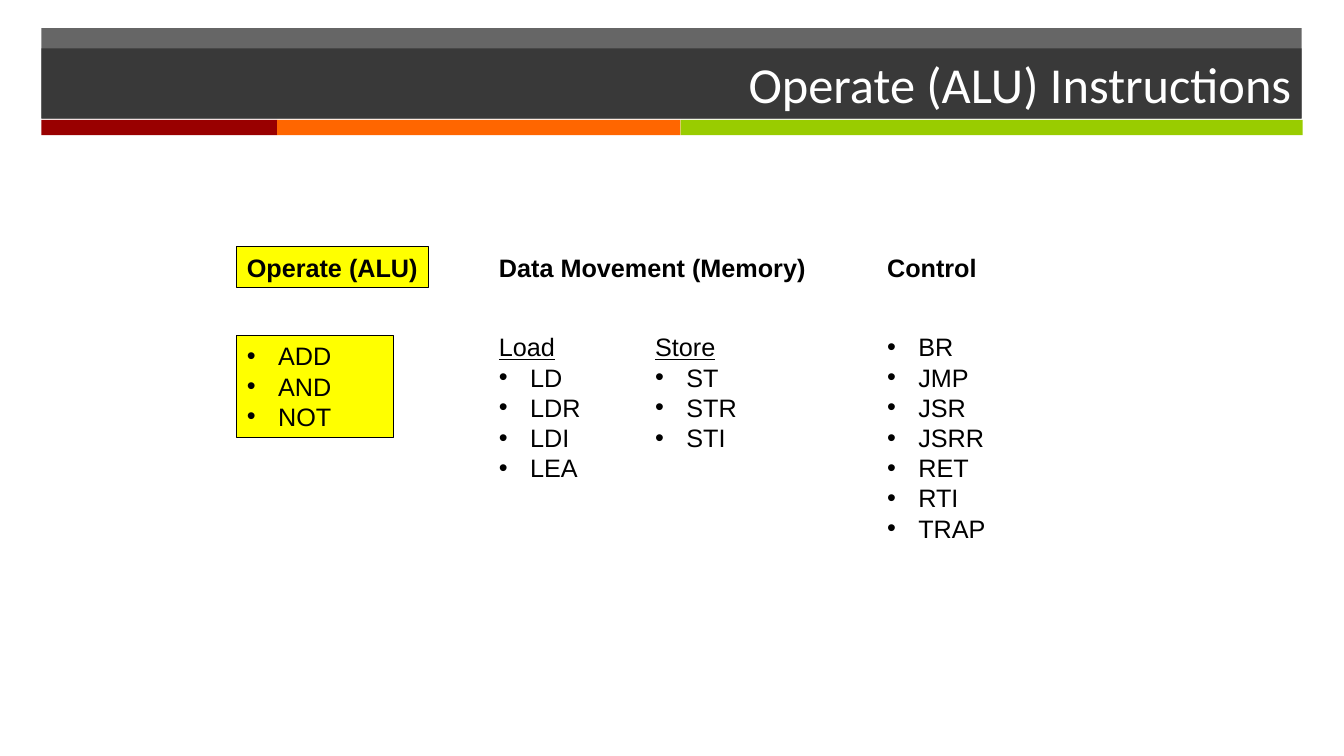
from lxml import etree
from pptx import Presentation
from pptx.dml.color import RGBColor
from pptx.enum.shapes import MSO_SHAPE
from pptx.enum.text import MSO_ANCHOR, PP_ALIGN
from pptx.oxml.ns import qn
from pptx.util import Inches, Pt

BLACK = RGBColor(0x00, 0x00, 0x00)
WHITE = RGBColor(0xFF, 0xFF, 0xFF)
DARK = RGBColor(0x26, 0x26, 0x26)
RED = RGBColor(0x99, 0x00, 0x00)
ORANGE = RGBColor(0xFF, 0x66, 0x00)
GREEN = RGBColor(0x99, 0xCC, 0x00)
YELLOW = RGBColor(0xFF, 0xFF, 0x00)

deck = Presentation()
deck.slide_width = Inches(13.33)
deck.slide_height = Inches(7.5)
slide = deck.slides.add_slide(deck.slide_layouts[6])


def add_rect(left, top, width, height, color):
    rect = slide.shapes.add_shape(MSO_SHAPE.RECTANGLE, Inches(left), Inches(top),
                                  Inches(width), Inches(height))
    rect.shadow.inherit = False
    rect.fill.solid()
    rect.fill.fore_color.rgb = color
    rect.line.fill.background()
    return rect


def add_list(left, top, width, height, lines, head=None, marked=False):
    if marked:
        box = add_rect(left, top, width, height, YELLOW)
        box.line.color.rgb = BLACK
        box.line.width = Pt(0.75)
    else:
        box = slide.shapes.add_textbox(Inches(left), Inches(top),
                                       Inches(width), Inches(height))
    frame = box.text_frame
    frame.word_wrap = True
    frame.vertical_anchor = MSO_ANCHOR.TOP
    frame.text = "\n".join(([head] if head else []) + lines)
    for row, para in enumerate(frame.paragraphs):
        para.alignment = PP_ALIGN.LEFT
        is_head = bool(head) and row == 0
        if not is_head:
            props = para._p.get_or_add_pPr()
            props.set("marL", str(Inches(0.31)))
            props.set("indent", str(Inches(-0.31)))
            etree.SubElement(props, qn("a:buFont")).set("typeface", "Arial")
            etree.SubElement(props, qn("a:buChar")).set("char", "•")
        font = para.runs[0].font
        font.name = "Arial"
        font.size = Pt(18)
        font.color.rgb = BLACK
        font.bold = is_head and not lines
        font.underline = is_head and bool(lines)


back = add_rect(0.41, 0.28, 12.5, 0.89, DARK)
title = add_rect(0.41, 0.48, 12.5, 0.7, DARK)
for bar in (back, title):
    tint = bar.fill._xPr.find(qn("a:solidFill"))[0]
    etree.SubElement(tint, qn("a:alpha")).set("val", "70000")

left = 0.41
for width, color in ((2.34, RED), (4, ORANGE), (6.17, GREEN)):
    add_rect(left, 1.19, width, 0.15, color)
    left += width

frame = title.text_frame
frame.text = "Operate (ALU) Instructions"
frame.word_wrap = True
frame.vertical_anchor = MSO_ANCHOR.MIDDLE
frame.paragraphs[0].alignment = PP_ALIGN.RIGHT
font = frame.paragraphs[0].runs[0].font
font.name = "Calibri"
font.size = Pt(36)
font.color.rgb = WHITE

for left, width, head, marked in (
    (2.35, 1.9, "Operate (ALU)", True),
    (4.85, 3.32, "Data Movement (Memory)", False),
    (8.7, 1.42, "Control", False),
):
    add_list(left, 2.45, width, 0.4, [], head, marked)

add_list(2.35, 3.33, 1.55, 1.01, ["ADD", "AND", "NOT"], marked=True)
for left, height, head, codes in (
    (4.85, 1.62, "Load", ["LD", "LDR", "LDI", "LEA"]),
    (6.4, 1.62, "Store", ["ST", "STR", "STI"]),
    (8.7, 2.22, None, ["BR", "JMP", "JSR", "JSRR", "RET", "RTI", "TRAP"]),
):
    add_list(left, 3.24, 1.55, height, codes, head)

deck.save("out.pptx")
